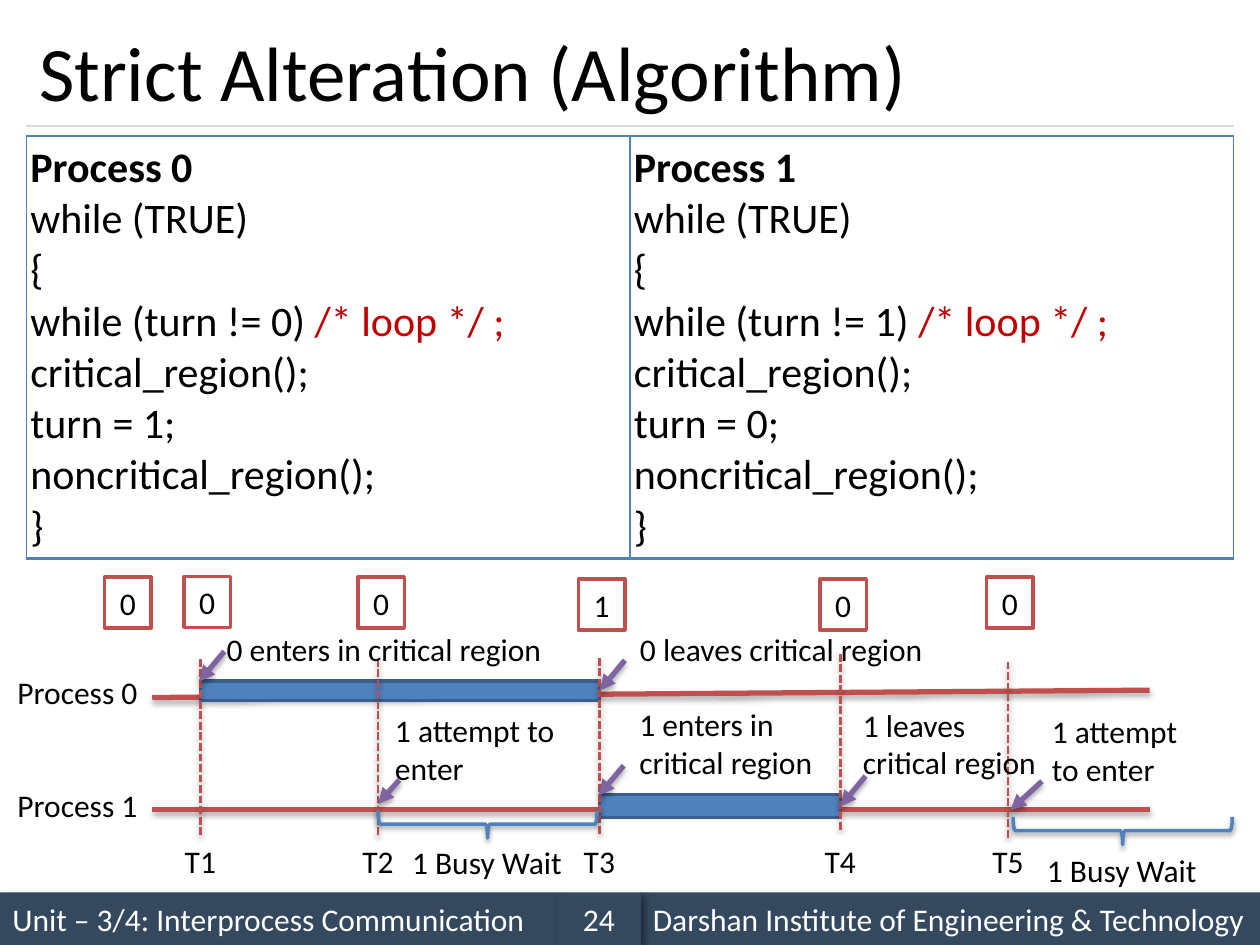
"""Build the strict alternation slide: two code listings above a timeline of both processes."""
import lxml.etree
import pptx
import pptx.dml.color
import pptx.enum.dml
import pptx.enum.shapes
import pptx.enum.text
import pptx.oxml.ns
import pptx.util

Pt = pptx.util.Pt
SHAPES = pptx.enum.shapes.MSO_SHAPE
ALIGN = pptx.enum.text.PP_ALIGN

THEME = {
    "font": "Calibri", "title": 44, "code": 24, "label": 18,
    "black": "000000", "white": "FFFFFF", "footer": "34495E", "rule": "D9D9D9",
    "comment": "C00000", "red": "C0504D", "blue": "4F81BD", "dark_blue": "3A5F8C", "purple": "8064A2",
    "line_shadow": (35, 3.1, 1.8, 90), "brace_shadow": (38, 3.1, 1.6, 90), "footer_shadow": (40, 4, 3, 45),
}

TITLE = "Strict Alteration (Algorithm)"
FOOTERS = [
    ("Unit – 3/4: Interprocess Communication", 0, 318.2, ALIGN.LEFT),
    ("Darshan Institute of Engineering & Technology", 366, 354, ALIGN.LEFT),
    ("24", 318.2, 48, ALIGN.CENTER),
]
PROCESSES = [(0, 1), (1, 0)]
COMMENT = "/* loop */ ;"
EVENTS = [("T1", 114.5, 376.5), ("T2", 216, 376.5), ("T3", 342.5, 375.8),
          ("T4", 480.2, 373.5), ("T5", 576, 378)]
TURN_BOXES = [("0", 59.8, 329.8), ("0", 105.1, 329.5), ("0", 204.5, 329.8),
              ("1", 330.5, 331), ("0", 468.5, 331), ("0", 563.8, 329.8)]
PROCESS_LINES = [(87, 398.6, 657, 394.4), (87, 462.6, 657, 462.6)]
CRITICAL_BARS = [(114.5, 389.3, 228, 11), (342.5, 454.1, 137.7, 13.2)]
ARROWS = [(128.2, 372.2, 113.8, 389.5), (228.2, 445.7, 216, 459.4), (357.1, 377.3, 342.7, 394.6),
          (356.4, 437.5, 342, 454.6), (494.6, 443.5, 480.2, 460.8), (595.4, 446.4, 577.4, 463)]
BRACES = [(270.7, 408.3), (633.6, 412)]
LABELS = [
    ("Process 0", 2.9, 380.9, 87), ("Process 1", 2.9, 445.7, 87),
    ("0 enters in critical region", 122.4, 356.7, 199.4),
    ("1 attempt to enter", 218.6, 403, 114.5),
    ("0 leaves critical region", 358.6, 356.7, 181.4),
    ("1 enters in critical region", 358.2, 399.2, 113.8),
    ("1 leaves critical region", 486, 399.6, 115.9),
    ("1 attempt to enter", 594, 403.5, 92.9),
    ("1 Busy Wait", 228.4, 478.3, 101.5), ("1 Busy Wait", 591.1, 482.6, 101.5),
]


def color(name):
    return pptx.dml.color.RGBColor.from_string(THEME[name])


def add_xml(parent, tag, **attributes):
    return lxml.etree.SubElement(parent, pptx.oxml.ns.qn(tag), attributes)


def format_paragraph(paragraph, size, color_name="black", align=ALIGN.LEFT, bold=False):
    paragraph.alignment = align
    paragraph.font.name = THEME["font"]
    paragraph.font.size = Pt(THEME[size])
    paragraph.font.bold = bold
    paragraph.font.color.rgb = color(color_name)


def cast_shadow(effects, name):
    alpha, blur, distance, angle = THEME[name]
    shadow = add_xml(effects, "a:outerShdw", blurRad=str(Pt(blur)), dist=str(Pt(distance)),
                     dir=str(angle * 60000), algn="ctr", rotWithShape="0")
    add_xml(add_xml(shadow, "a:srgbClr", val=THEME["black"]), "a:alpha", val=str(alpha * 1000))


def add_line(slide, ends, color_name, width, dashed=False, arrow=False, shadow=True):
    connector = slide.shapes.add_connector(
        pptx.enum.shapes.MSO_CONNECTOR.STRAIGHT, *[Pt(value) for value in ends])
    connector.line.color.rgb = color(color_name)
    connector.line.width = Pt(width)
    if dashed:
        connector.line.dash_style = pptx.enum.dml.MSO_LINE.SQUARE_DOT
    properties = connector.element.spPr
    if arrow:
        add_xml(properties.find(pptx.oxml.ns.qn("a:ln")), "a:tailEnd", type="triangle")
    effects = add_xml(properties, "a:effectLst")
    if shadow:
        cast_shadow(effects, "line_shadow")


def add_shape(slide, kind, box, fill=None, line=None, shadow=None):
    shape = slide.shapes.add_shape(kind, *[Pt(value) for value in box])
    shape.shadow.inherit = False
    if fill:
        shape.fill.solid()
        shape.fill.fore_color.rgb = color(fill)
    else:
        shape.fill.background()
    if line:
        shape.line.color.rgb = color(line)
        shape.line.width = Pt(2)
    else:
        shape.line.fill.background()
    if shadow:
        cast_shadow(shape.element.spPr.find(pptx.oxml.ns.qn("a:effectLst")), shadow)
    return shape


def write(shape, text, color_name="black", align=ALIGN.LEFT):
    shape.text_frame.word_wrap = True
    shape.text_frame.text = text
    format_paragraph(shape.text_frame.paragraphs[0], "label", color_name, align)


def add_label(slide, text, left, top, width, align=ALIGN.LEFT):
    write(slide.shapes.add_textbox(Pt(left), Pt(top), Pt(width), Pt(29)), text, align=align)


def add_code(cell, process, other):
    lines = [f"Process {process}", "while (TRUE)", "{", f"while (turn != {process}) ",
             "critical_region();", f"turn = {other};", "noncritical_region();", "}"]
    cell.margin_left = cell.margin_right = Pt(2.2)
    cell.margin_top = cell.margin_bottom = Pt(3.6)
    cell.fill.solid()
    cell.fill.fore_color.rgb = color("white")
    cell.text_frame.text = "\n".join(lines)
    for index, paragraph in enumerate(cell.text_frame.paragraphs):
        format_paragraph(paragraph, "code", bold=index == 0)
    comment = cell.text_frame.paragraphs[3].add_run()
    comment.text = COMMENT
    comment.font.color.rgb = color("comment")
    properties = cell._tc.get_or_add_tcPr()
    for index, (side, width) in enumerate([("L", 1), ("R", 1), ("T", 1), ("B", 2)]):
        border = add_xml(properties, f"a:ln{side}", w=str(Pt(width)))
        add_xml(add_xml(border, "a:solidFill"), "a:srgbClr", val=THEME["blue"])
        properties.insert(index, border)


def add_header(slide):
    title = slide.shapes.title
    title.left, title.top, title.width, title.height = Pt(15.1), Pt(8.6), Pt(689.8), Pt(63.4)
    title.text_frame.text = TITLE
    title.text_frame.vertical_anchor = pptx.enum.text.MSO_ANCHOR.MIDDLE
    format_paragraph(title.text_frame.paragraphs[0], "title")
    add_line(slide, (15.1, 72, 704.9, 72), "rule", 0.75, shadow=False)
    for text, left, width, align in FOOTERS:
        footer = add_shape(slide, SHAPES.RECTANGLE, (left, 510, width, 30), "footer", shadow="footer_shadow")
        write(footer, text, "white", align)


def add_listings(slide):
    table = slide.shapes.add_table(1, 2, Pt(15.1), Pt(77.8), Pt(689.8), Pt(240)).table
    table.first_row = table.horz_banding = False
    for cell, process in zip(table.rows[0].cells, PROCESSES):
        add_code(cell, *process)


def add_timeline(slide):
    for ends in PROCESS_LINES:
        add_line(slide, ends, "red", 3)
    for box in CRITICAL_BARS:
        add_shape(slide, SHAPES.RECTANGLE, box, "blue", "dark_blue")
    for name, x, top in EVENTS:
        add_line(slide, (x, top, x, top + 102), "red", 1.5, dashed=True)
        add_label(slide, name, x - 18, 477.6, 36, ALIGN.CENTER)
    for label in LABELS:
        add_label(slide, *label)
    for ends in ARROWS:
        add_line(slide, ends, "purple", 3, arrow=True)
    for left, top in BRACES:
        brace = add_shape(slide, SHAPES.RIGHT_BRACE, (left, top, 15.8, 125.3),
                          line="blue", shadow="brace_shadow")
        brace.rotation = 90
    for turn, left, top in TURN_BOXES:
        box = add_shape(slide, SHAPES.RECTANGLE, (left, top, 26.6, 29), "white", "red")
        write(box, turn, align=ALIGN.CENTER)


def main():
    presentation = pptx.Presentation()
    presentation.slide_width, presentation.slide_height = Pt(720), Pt(540)
    slide = presentation.slides.add_slide(presentation.slide_layouts[5])
    add_header(slide)
    add_listings(slide)
    add_timeline(slide)
    presentation.save("out.pptx")


if __name__ == "__main__":
    main()
